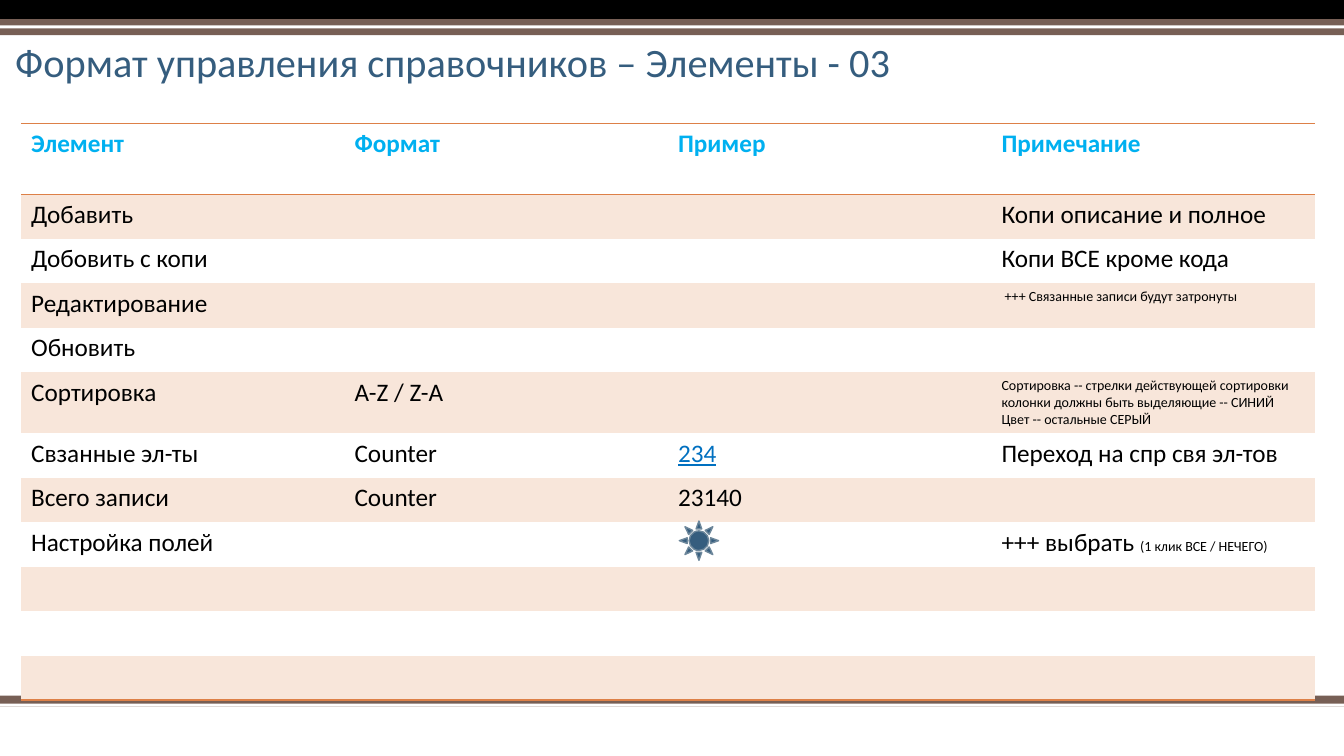
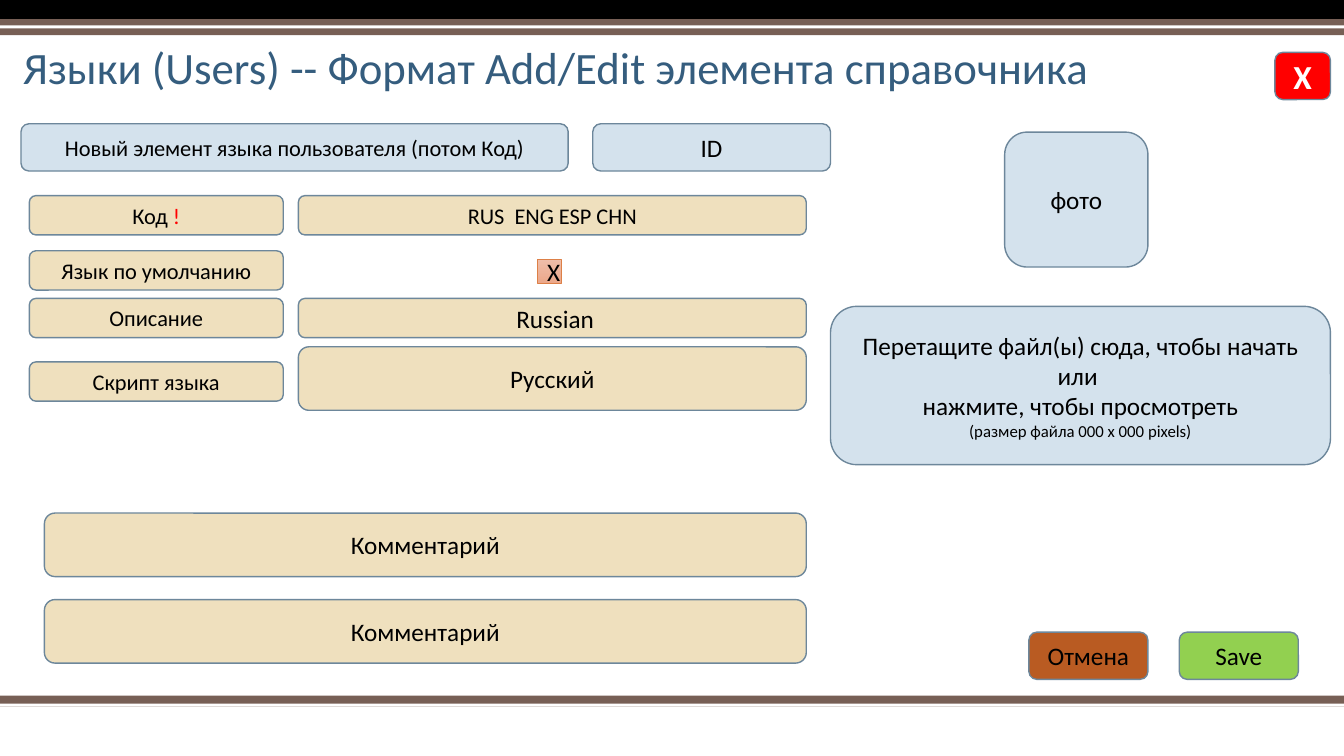
from pptx import Presentation
from pptx.dml.color import RGBColor as RGB
from pptx.enum.shapes import MSO_SHAPE as SHAPE
from pptx.enum.text import MSO_ANCHOR as ANCHOR, MSO_AUTO_SIZE as FIT, PP_ALIGN as ALIGN
from pptx.oxml import parse_xml
from pptx.oxml.ns import nsdecls
from pptx.util import Cm, Pt

COLORS = {
    "black": "000000", "white": "FFFFFF", "brown": "775F55", "title": "355D7E",
    "outline": "6D879B", "blue": "D4E2ED", "sand": "EFE0BE", "red": "FF0000",
    "rust": "B95B22", "green": "92D050", "header": "00B0F0", "link": "0070C0",
    "orange": "DD8047", "stripe": "F8E6DA", "check_top": "EEBEAA", "check_end": "EBA78A",
}
FONT = {"name": "Calibri", "size": 18, "color": "black", "bold": False, "underline": False}
TITLE_PARAGRAPH = {"alignment": ALIGN.LEFT, "line_spacing": 0.9}
TITLE_FRAME = {"vertical_anchor": ANCHOR.BOTTOM, "word_wrap": True, "auto_size": FIT.NONE}
NO_STYLE = "{2D5ABB26-0587-4C30-8999-92F81FD0307C}"
NOTE = {"size": 10}

BANDS = [
    ("brown", 17.53, 0.28), ("white", 17.73, 0.08),
    ("black", 0, 0.48), ("brown", 0.48, 0.41), ("white", 0.64, 0.08),
]

HEADERS = ["Элемент", "Формат", "Пример", "Примечание"]
ROWS = [
    ["Добавить", "", "", "Копи описание и полное"],
    ["Добовить с копи", "", "", "Копи ВСЕ кроме кода"],
    ["Редактирование", "", "", [(" +++ Связанные записи будут затронуты", NOTE)]],
    ["Обновить", "", "", ""],
    ["Сортировка", "A-Z / Z-A", "",
     [("Сортировка -- стрелки действующей сортировки колонки должны быть "
       "выделяющие -- СИНИЙ Цвет -- остальные СЕРЫЙ", NOTE)]],
    ["Свзанные эл-ты", "Counter", [("234", {"color": "link", "underline": True})],
     "Переход на спр свя эл-тов"],
    ["Всего записи", "Counter", "23140", ""],
    ["Настройка полей", "", "",
     [("+++ выбрать ", {}), ("(1 клик ВСЕ / НЕЧЕГО)", NOTE)]],
    [""] * 4,
    [""] * 4,
    [""] * 4,
]


def rgb(name):
    return RGB.from_string(COLORS[name])


def cm(box):
    return [Cm(v) for v in box]


def set_all(target, values):
    for key, value in values.items():
        setattr(target, key, value)


def write(p, content, **base):
    runs = [(content, {})] if isinstance(content, str) else content
    for text, extra in runs:
        fmt = {**FONT, **base, **extra}
        color, fmt["size"] = fmt.pop("color"), Pt(fmt["size"])
        for i, line in enumerate(text.split("\n")):
            if i:
                p.add_line_break()
            if line:
                r = p.add_run()
                r.text = line
                set_all(r.font, fmt)
                r.font.color.rgb = rgb(color)


def add_shape(s, kind, box, fill, line="outline", width=1):
    sp = s.shapes.add_shape(kind, *cm(box))
    sp.shadow.inherit = False
    sp.fill.solid()
    sp.fill.fore_color.rgb = rgb(fill)
    if line:
        sp.line.color.rgb = rgb(line)
        sp.line.width = Pt(width)
    else:
        sp.line.fill.background()
    return sp


def add_label(sp, content, **base):
    tf = sp.text_frame
    set_all(tf, {"word_wrap": True, "vertical_anchor": ANCHOR.MIDDLE})
    p = tf.paragraphs[0]
    p.alignment = ALIGN.CENTER
    write(p, content, **base)


def add_field(s, box, fill, content, **base):
    add_label(add_shape(s, SHAPE.ROUNDED_RECTANGLE, box, fill), content, **base)


def add_bands(s, layout, width):
    tree = layout.shapes._spTree
    for fill, top, height in BANDS:
        sp = add_shape(s, SHAPE.RECTANGLE, (0, top, width, height), fill, None)
        tree.append(sp._element)


def add_title(s, box, text, size):
    title = s.shapes.title
    set_all(title, dict(zip(("left", "top", "width", "height"), cm(box))))
    set_all(title.text_frame, TITLE_FRAME)
    p = title.text_frame.paragraphs[0]
    set_all(p, TITLE_PARAGRAPH)
    write(p, text, size=size, color="title")


def add_border(cell, sides):
    tcPr = cell._tc.get_or_add_tcPr()
    for i, side in enumerate(sides):
        tcPr.insert(i, parse_xml(
            f'<a:ln{side} {nsdecls("a")} w="12700"><a:solidFill>'
            f'<a:srgbClr val="{COLORS["orange"]}"/></a:solidFill></a:ln{side}>'))


def add_elements_table(s, box, header_height, row_height):
    left, top, width = box
    height = header_height + row_height * len(ROWS)
    shape = s.shapes.add_table(len(ROWS) + 1, len(HEADERS), *cm((left, top, width, height)))
    table = shape.table
    set_all(table, {"first_row": False, "horz_banding": False})
    table._tbl.tblPr[0].text = NO_STYLE
    for col in table.columns:
        col.width = Cm(width / len(HEADERS))
    for i, values in enumerate([HEADERS] + ROWS):
        table.rows[i].height = Cm(row_height if i else header_height)
        base = {} if i else {"color": "header", "bold": True}
        for j, content in enumerate(values):
            cell = table.cell(i, j)
            if i % 2:
                cell.fill.solid()
                cell.fill.fore_color.rgb = rgb("stripe")
            else:
                cell.fill.background()
            if content:
                write(cell.text_frame.paragraphs[0], content, **base)
            if i == 0:
                add_border(cell, "TB")
            elif i == len(ROWS):
                add_border(cell, "B")


def add_checkbox(s, box):
    sp = add_shape(s, SHAPE.RECTANGLE, box, "check_top", "orange", 0.5)
    sp.fill.gradient()
    sp.fill.gradient_angle = 270
    for stop, name in zip(sp.fill.gradient_stops, ("check_top", "check_end")):
        stop.color.rgb = rgb(name)
    add_label(sp, "X")


def add_form(s, left, top):
    label_w, value_x, value_w, height = 6.4, left + 6.78, 12.8, 0.99
    labels = [
        (0, [("Код ", {}), ("!", {"color": "red"})]),
        (1.39, "Язык по умолчанию"),
        (2.59, "Описание"),
        (4.19, "Скрипт языка"),
    ]
    values = [
        (0, height, "RUS  ENG ESP CHN", 16),
        (2.59, height, " Russian", 18),
        (3.81, 1.6, "Русский", 18),
    ]
    for dy, text in labels:
        add_field(s, (left, top + dy, label_w, height), "sand", text, size=16)
    for dy, h, text, size in values:
        add_field(s, (value_x, top + dy, value_w, h), "sand", text, size=size)
    add_checkbox(s, (value_x + 6.02, top + 1.6, 0.61, 0.61))
    for i in range(2):
        add_field(s, (left + 0.38, top + 8 + 2.18 * i, 19.2, 1.6), "sand", "Комментарий")


def add_upload(s, left, top):
    add_field(s, (left + 4.39, top, 3.61, 3.4), "blue", "фото")
    add_field(s, (left, top + 4.39, 12.6, 3.99), "blue", [
        ("Перетащите файл(ы) сюда, чтобы начать или \nнажмите, чтобы просмотреть\n", {}),
        ("(размер файла 000 x 000 pixels)", {"size": 12})])


def add_buttons(s, left, top):
    for i, (fill, text) in enumerate([("rust", "Отмена"), ("green", "Save")]):
        add_field(s, (left + 3.79 * i, top, 3, 1.19), fill, text)


def table_slide(s):
    add_title(s, (0.13, 0.91, 29.49, 1.4), "Формат управления справочников – Элементы - 03", 28.8)
    add_elements_table(s, (0.53, 3.12, 32.61), 1.78, 1.12)
    add_shape(s, SHAPE.SUN, (17.12, 13.13, 0.99, 0.99), "title")


def form_slide(s):
    add_title(s, (0.33, 0.91, 29.31, 1.6),
              "Языки (Users) -- Формат Add/Edit элемента справочника", 32)
    add_field(s, (32.13, 1.32, 1.4, 1.19), "red", "Х", size=24, color="white", bold=True)
    add_field(s, (0.53, 3.12, 13.79, 1.19), "blue",
              "Новый элемент языка пользователя (потом Код)", size=16)
    add_field(s, (14.94, 3.12, 5.99, 1.19), "blue", "ID")
    add_form(s, 0.74, 4.93)
    add_upload(s, 20.93, 3.33)
    add_buttons(s, 25.93, 15.93)


def main():
    prs = Presentation()
    width, height = 33.87, 19.05
    prs.slide_width, prs.slide_height = Cm(width), Cm(height)
    layout = prs.slide_layouts[5]
    slides = [prs.slides.add_slide(layout) for _ in range(2)]
    add_bands(slides[0], layout, width)
    for build, s in zip((table_slide, form_slide), slides):
        build(s)
    prs.save("out.pptx")


main()
